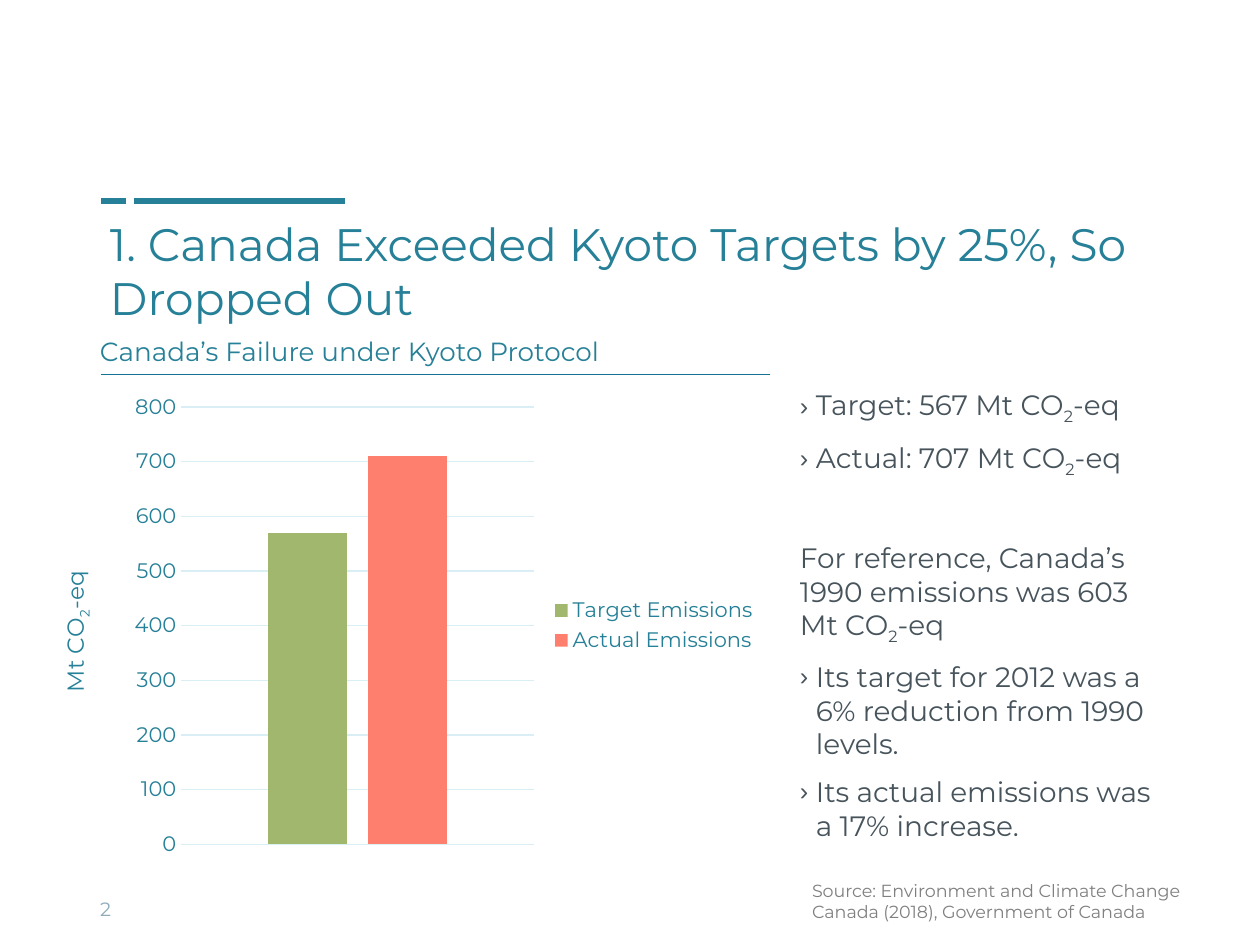
from lxml.etree import SubElement
from pptx import Presentation
from pptx.chart.data import CategoryChartData
from pptx.dml.color import RGBColor
from pptx.enum.chart import XL_CHART_TYPE, XL_LEGEND_POSITION, XL_TICK_LABEL_POSITION, XL_TICK_MARK
from pptx.enum.shapes import MSO_CONNECTOR
from pptx.enum.text import MSO_ANCHOR
from pptx.oxml import parse_xml
from pptx.oxml.ns import nsdecls, qn
from pptx.util import Emu, Pt

PX = 914400 / 126
FONT = "Montserrat"
COLORS = {
    "teal": "268097", "rule": "157395", "body": "47545C", "number": "8EACB8",
    "source": "808080", "grid": "D9EFF5", "target": "A1B76D", "actual": "FF7F6E",
}


def write(paragraph, text, size, color):
    for position, part in enumerate(text.split("~")):
        run = paragraph.add_run()
        run.text = part
        style = {"size": Pt(size), "name": FONT, "bold": False}
        for attribute, value in style.items():
            setattr(run.font, attribute, value)
        run.font.color.rgb = RGBColor.from_string(COLORS[color])
        if position % 2:
            run.font._element.set("baseline", "-25000")


def lay_out(parent, index, target, values):
    for layout in parent.findall(qn("c:layout")):
        parent.remove(layout)
    modes = f'<c:layoutTarget val="{target}"/>' if target else ""
    modes += '<c:xMode val="edge"/><c:yMode val="edge"/>'
    sizes = "".join(f'<c:{key} val="{value:.3f}"/>' for key, value in values.items())
    parent.insert(index, parse_xml(
        f'<c:layout {nsdecls("c")}><c:manualLayout>{modes}{sizes}</c:manualLayout></c:layout>'))


presentation = Presentation()
presentation.slide_width = Emu(round(1260 * PX))
presentation.slide_height = Emu(round(945 * PX))
slide = presentation.slides.add_slide(presentation.slide_layouts[6])

for start, end, y, width, color in [
    (134, 345, 201, 3.5, "teal"),
    (101, 126, 201, 3.5, "teal"),
    (101, 770, 374, 0.25, "rule"),
]:
    accent = slide.shapes.add_connector(
        MSO_CONNECTOR.STRAIGHT, *(Emu(round(v * PX)) for v in (start, y, end, y)))
    accent.line.width = Pt(width)
    accent.line.color.rgb = RGBColor.from_string(COLORS[color])
    SubElement(accent._element.spPr, qn("a:effectLst"))

facts = [
    ("Target: 567 Mt CO~2~-eq", True, 0),
    ("Actual: 707 Mt CO~2~-eq", True, 0),
    ("For reference, Canada’s 1990 emissions was 603 Mt CO~2~-eq", False, 27.5),
    ("Its target for 2012 was a 6% reduction from 1990 levels.", True, 0),
    ("Its actual emissions was a 17% increase.", True, 0),
]
TOP, MIDDLE, BOTTOM = MSO_ANCHOR.TOP, MSO_ANCHOR.MIDDLE, MSO_ANCHOR.BOTTOM
for box, inset, anchor, size, color, lines in [
    ((97, 210, 1050, 123), 13, TOP, 26, "teal",
     [("1. Canada Exceeded Kyoto Targets by 25%, So Dropped Out", False, 0)]),
    ((87, 884, 294, 50), 13, MIDDLE, 11, "number", [("2", False, 0)]),
    ((787, 382, 391, 481), 13, TOP, 16, "body", facts),
    ((806, 874, 386, 60), 6, TOP, 10, "source",
     [("Source: Environment and Climate Change Canada (2018), Government of Canada", False, 0)]),
    ((87, 311, 683, 62), 13, BOTTOM, 15, "teal",
     [("Canada’s Failure under Kyoto Protocol", False, 0)]),
]:
    frame = slide.shapes.add_textbox(*(Emu(round(v * PX)) for v in box)).text_frame
    side, edge = Emu(round(inset * PX)), Emu(round(6 * PX))
    frame_format = {
        "word_wrap": True, "vertical_anchor": anchor, "margin_left": side,
        "margin_right": side, "margin_top": edge, "margin_bottom": edge,
    }
    for attribute, value in frame_format.items():
        setattr(frame, attribute, value)
    for number, (text, bulleted, before) in enumerate(lines):
        paragraph = frame.add_paragraph() if number else frame.paragraphs[0]
        if before:
            paragraph.space_before = Pt(before)
        if len(lines) > 1:
            paragraph.space_after = Pt(8)
        if bulleted:
            properties = paragraph._p.get_or_add_pPr()
            hang = round(16 * PX)
            properties.set("marL", str(hang))
            properties.set("indent", str(-hang))
            SubElement(properties, qn("a:buSzPct")).set("val", "90000")
            SubElement(properties, qn("a:buFont")).set("typeface", "Arial")
            SubElement(properties, qn("a:buChar")).set("char", "›")
        write(paragraph, text, size, color)

emissions = CategoryChartData()
emissions.categories = ["1"]
emissions.add_series("Target Emissions", [570])
emissions.add_series("Actual Emissions", [710])
left, top, width, height = 53, 385, 717, 481
chart = slide.shapes.add_chart(
    XL_CHART_TYPE.COLUMN_CLUSTERED,
    *(Emu(round(v * PX)) for v in (left, top, width, height)), emissions).chart
chart.has_title = False
chart.has_legend = True
chart.legend.position = XL_LEGEND_POSITION.RIGHT
chart.legend.include_in_layout = False

columns = chart.plots[0]
for attribute, value in {"gap_width": 219, "overlap": -27, "vary_by_categories": False}.items():
    setattr(columns, attribute, value)
for series, color in zip(columns.series, ("target", "actual")):
    series.format.fill.solid()
    series.format.fill.fore_color.rgb = RGBColor.from_string(COLORS[color])

chart.category_axis.visible = False
emission_axis = chart.value_axis
axis_format = {
    "minimum_scale": 0, "maximum_scale": 800, "major_unit": 100,
    "major_tick_mark": XL_TICK_MARK.NONE, "minor_tick_mark": XL_TICK_MARK.NONE,
    "tick_label_position": XL_TICK_LABEL_POSITION.NEXT_TO_AXIS,
    "has_major_gridlines": True, "has_title": True,
}
for attribute, value in axis_format.items():
    setattr(emission_axis, attribute, value)
emission_axis.format.line.fill.background()
grid = emission_axis.major_gridlines.format.line
grid.width = Pt(0.75)
grid.color.rgb = RGBColor.from_string(COLORS["grid"])
for font in (chart.font, chart.legend.font, emission_axis.tick_labels.font):
    for attribute, value in {"size": Pt(12), "name": FONT, "bold": False}.items():
        setattr(font, attribute, value)
    font.color.rgb = RGBColor.from_string(COLORS["teal"])

unit = emission_axis.axis_title
write(unit.text_frame.paragraphs[0], "Mt CO~2~-eq", 13.3, "teal")
for attribute, value in {"rot": "-5400000", "vert": "horz"}.items():
    unit.text_frame._txBody.bodyPr.set(attribute, value)
lay_out(unit._element, 1, "", {"x": (55 - left) / width, "y": (567 - top) / height})
lay_out(chart._chartSpace.chart.plotArea, 0, "inner", {
    "x": (181 - left) / width, "y": (407 - top) / height,
    "w": 353 / width, "h": 437 / height,
})

presentation.save("out.pptx")
